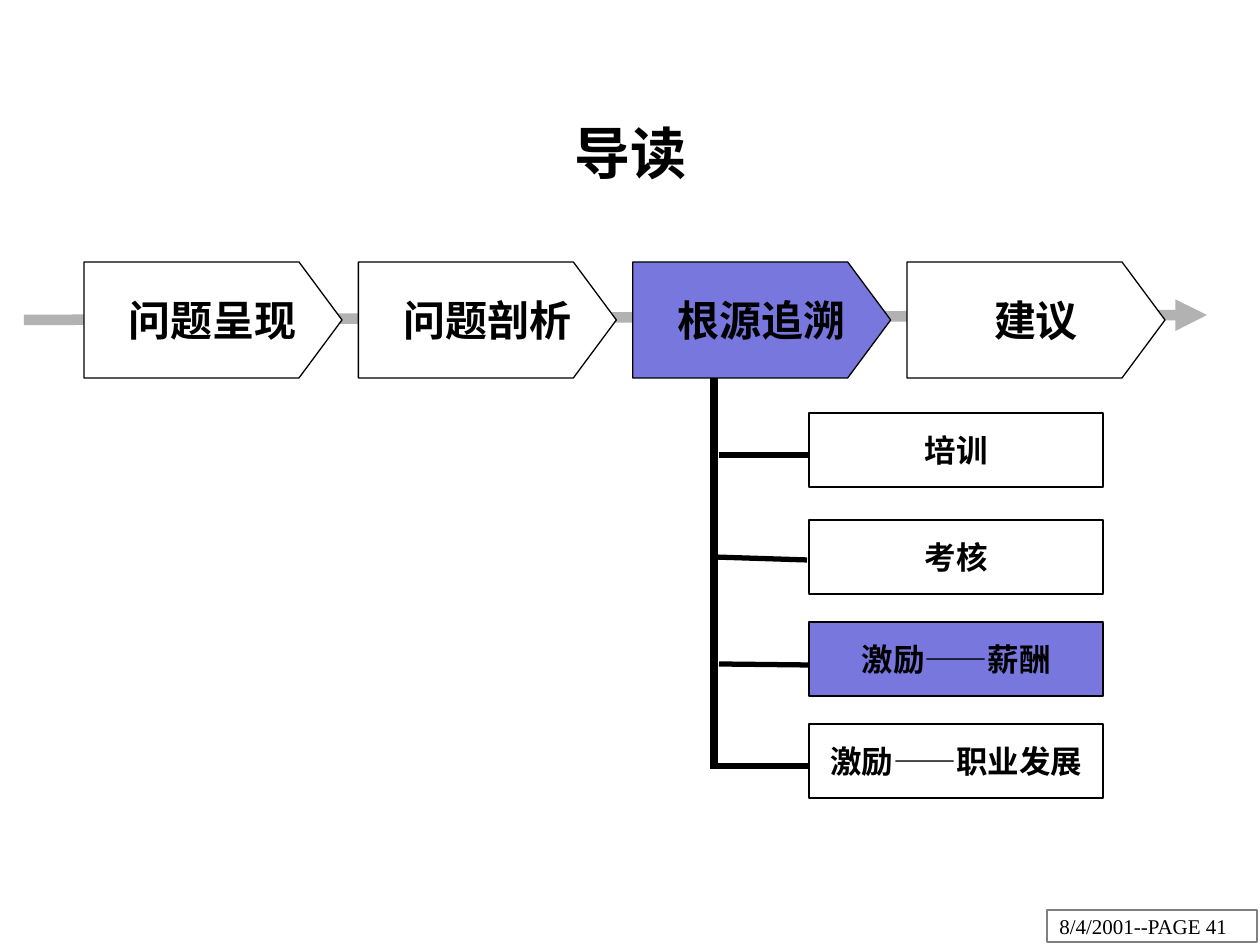
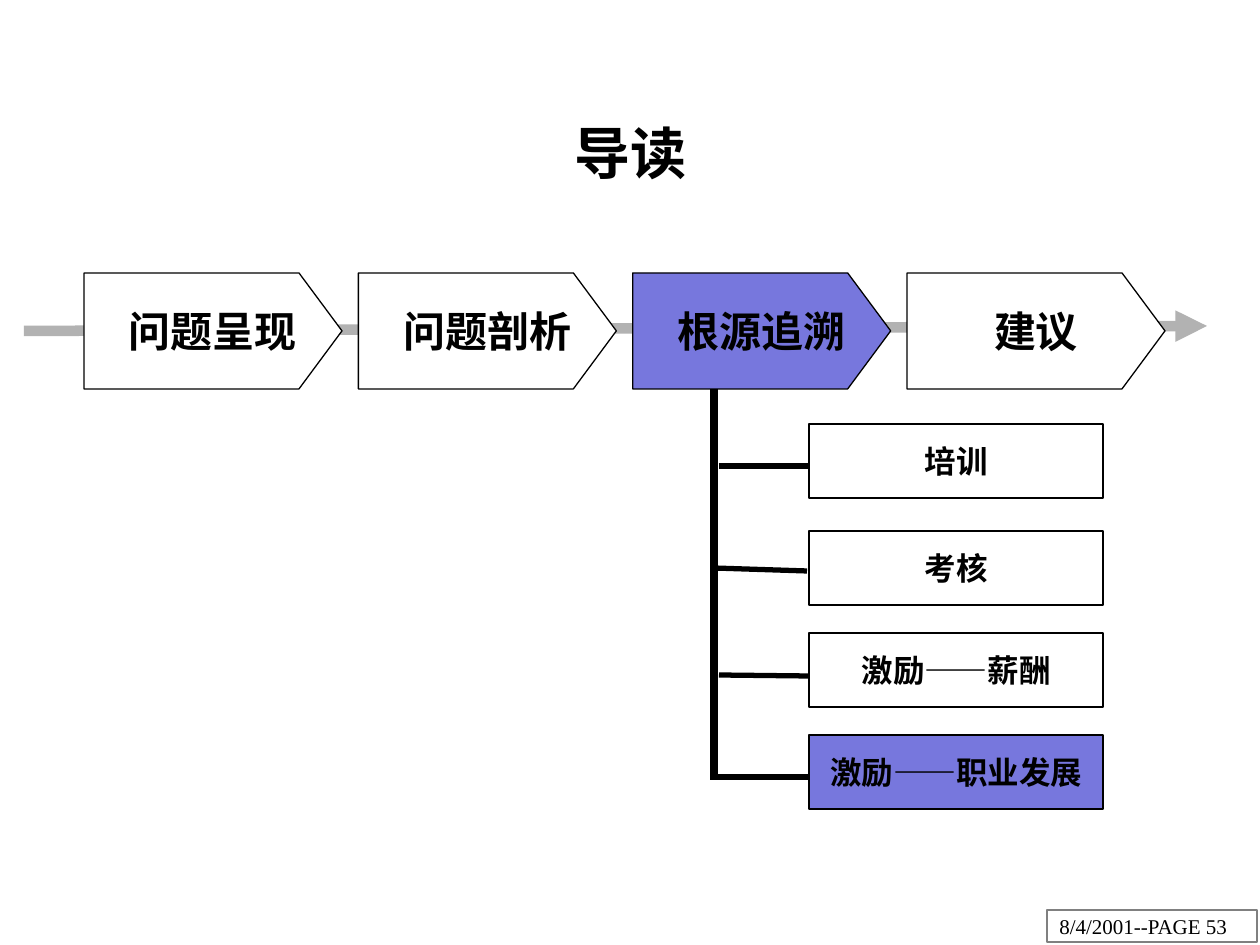
from dataclasses import dataclass

from lxml.etree import SubElement
from pptx import Presentation
from pptx.dml.color import RGBColor as Rgb
from pptx.enum.shapes import MSO_CONNECTOR as Connector, MSO_SHAPE as Shape
from pptx.enum.text import MSO_ANCHOR as Anchor, MSO_AUTO_SIZE as AutoSize, PP_ALIGN as Align
from pptx.oxml.ns import qn
from pptx.util import Pt


@dataclass(frozen=True)
class Theme:
    font: str = "Times New Roman"
    ink: Rgb = Rgb(0x00, 0x00, 0x00)
    paper: Rgb = Rgb(0xFF, 0xFF, 0xFF)
    accent: Rgb = Rgb(0x77, 0x77, 0xDD)
    axis: Rgb = Rgb(0xB2, 0xB2, 0xB2)
    frame: Rgb = Rgb(0x80, 0x80, 0x80)
    title_size: int = 32
    step_size: int = 24
    topic_size: int = 18
    footer_size: int = 12
    outline: float = 0.75
    axis_width: float = 6
    trunk_width: float = 4.5
    branch_width: float = 3


THEME = Theme()
PX_PER_INCH = 126
SLIDE_WIDTH, SLIDE_HEIGHT = 1260, 945
STEPS = ("问题呈现", "问题剖析", "根源追溯", "建议")
ACTIVE_STEP = "根源追溯"
TOPICS = ("培训", "考核", "激励——薪酬", "激励——职业发展")
TOPIC_TOPS = (0, 107, 209, 311)
BRANCHES = (
    ((5, 42), (95, 42)),
    ((0, 144), (93, 147)),
    ((5, 251), (95, 252)),
    ((0, 353), (95, 353)),
)
PAGES = (
    {"number": 41, "active_topic": "激励——薪酬", "flow_top": 262},
    {"number": 53, "active_topic": "激励——职业发展", "flow_top": 273},
)


def emu(px):
    return round(px * 914400 / PX_PER_INCH)


def set_values(target, values):
    for name, value in values.items():
        setattr(target, name, value)


def write_text(shape, text, size, bold=True, align=Align.CENTER, wrap=True):
    frame = shape.text_frame
    set_values(frame, {
        "auto_size": AutoSize.NONE,
        "word_wrap": wrap,
        "vertical_anchor": Anchor.MIDDLE,
        "margin_left": emu(12.6),
        "margin_right": emu(12.6),
        "margin_top": emu(6.3),
        "margin_bottom": emu(6.3),
    })
    para = frame.paragraphs[0]
    para.alignment = align
    span = para.add_run()
    span.text = text
    set_values(span.font, {"name": THEME.font, "size": Pt(size), "bold": bold})
    span.font.color.rgb = THEME.ink


def style_shape(shape, fill, line=THEME.ink):
    shape.shadow.inherit = False
    if fill is None:
        shape.fill.background()
    else:
        shape.fill.solid()
        shape.fill.fore_color.rgb = fill
    shape.line.color.rgb = line
    shape.line.width = Pt(THEME.outline)


def add_box(page, left, top, width, height, fill, line=THEME.ink):
    box = page.shapes.add_shape(Shape.RECTANGLE, *map(emu, (left, top, width, height)))
    style_shape(box, fill, line)
    return box


def add_line(page, start, end, width, color=THEME.ink, arrow=False):
    line = page.shapes.add_connector(Connector.STRAIGHT, *map(emu, (*start, *end)))
    line.line.color.rgb = color
    line.line.width = Pt(width)
    properties = line.element.spPr
    if arrow:
        SubElement(properties.find(qn("a:ln")), qn("a:tailEnd"), type="triangle")
    SubElement(properties, qn("a:effectLst"))


def add_title(page, left, top, width, height):
    title = page.shapes.title
    set_values(title, {
        "left": emu(left), "top": emu(top), "width": emu(width), "height": emu(height),
    })
    write_text(title, "导读", THEME.title_size)


def add_footer(page, number, left, top, width, height):
    footer = add_box(page, left, top, width, height, THEME.paper, THEME.frame)
    write_text(footer, f"8/4/2001--PAGE {number}", THEME.footer_size,
               bold=False, align=Align.LEFT, wrap=False)


def add_step(page, label, left, top, width, height):
    shoulder = left + width - 43
    outline = [(left, top), (shoulder, top), (left + width, top + height / 2),
               (shoulder, top + height), (left, top + height)]
    points = [(emu(x), emu(y)) for x, y in outline]
    builder = page.shapes.build_freeform(*points[0], scale=1.0)
    builder.add_line_segments(points[1:], close=True)
    step = builder.convert_to_shape()
    style_shape(step, THEME.accent if label == ACTIVE_STEP else THEME.paper)
    write_text(step, label, THEME.step_size)


def add_flow(page, left, top, width, height):
    step_width = 258
    pitch = (width - step_width) / (len(STEPS) - 1)
    add_line(page, (left - 60, top + 58), (left + width + 42, top + 53),
             THEME.axis_width, THEME.axis, arrow=True)
    for index, label in enumerate(STEPS):
        add_step(page, label, left + index * pitch, top, step_width, height)


def add_topic_tree(page, active_topic, left, top, width):
    topic_left, topic_height = 95, 74
    add_line(page, (left, top - 35), (left, top + 356), THEME.trunk_width)
    for label, offset, branch in zip(TOPICS, TOPIC_TOPS, BRANCHES):
        start, end = [(left + x, top + y) for x, y in branch]
        add_line(page, start, end, THEME.branch_width)
        topic = add_box(page, left + topic_left, top + offset, width - topic_left,
                        topic_height, THEME.accent if label == active_topic else None)
        write_text(topic, label, THEME.topic_size)


def add_guide_page(deck, number, active_topic, flow_top):
    page = deck.slides.add_slide(deck.slide_layouts[5])
    add_footer(page, number, 1047, 910, 210, 32)
    add_title(page, 95, 73, 1071, 158)
    add_flow(page, 84, flow_top, 1081, 116)
    add_topic_tree(page, active_topic, 714, flow_top + 151, 389)


def main():
    deck = Presentation()
    deck.slide_width, deck.slide_height = emu(SLIDE_WIDTH), emu(SLIDE_HEIGHT)
    for page_values in PAGES:
        add_guide_page(deck, **page_values)
    deck.save("out.pptx")


if __name__ == "__main__":
    main()
